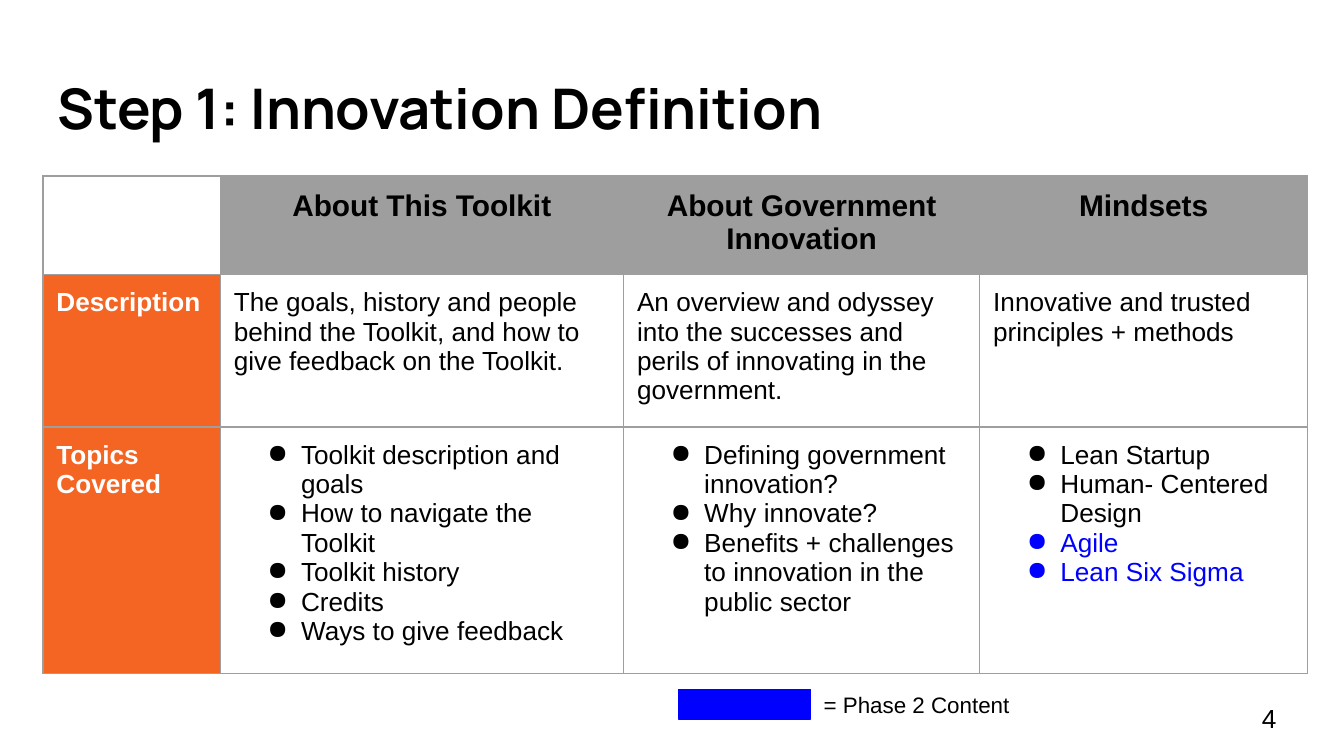
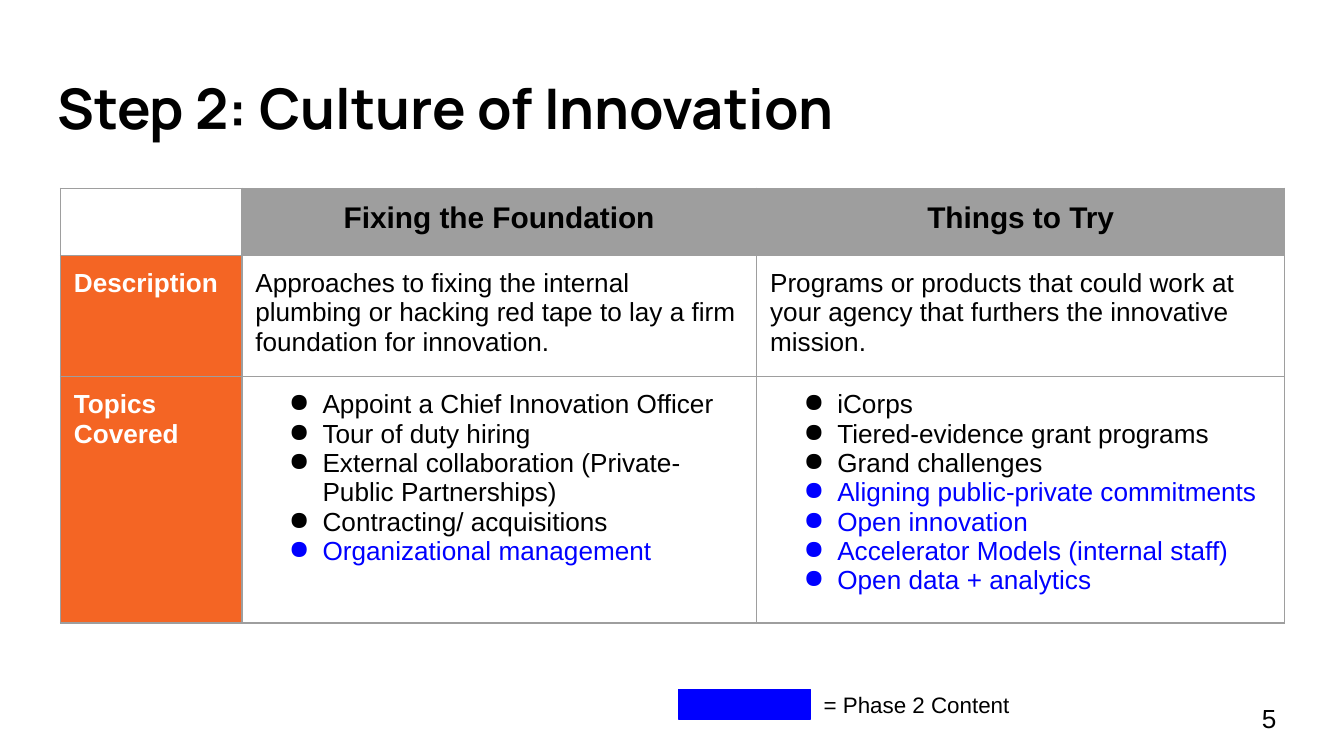
from dataclasses import dataclass

from pptx import Presentation, util as u
from pptx.dml.color import RGBColor
from pptx.enum import shapes, text
from pptx.oxml import parse_xml
from pptx.oxml.ns import nsdecls


@dataclass(frozen=True)
class Theme:
    ink: str = "000000"
    white: str = "FFFFFF"
    header: str = "9E9E9E"
    step: str = "F46524"
    phase_two: str = "0000FF"
    title_font: str = "Manrope"
    body_font: str = "Arial"
    title_size: int = 30
    header_size: int = 16
    body_size: int = 14
    legend_size: int = 12
    line_width: float = 0.75


@dataclass(frozen=True)
class Box:
    """Left, top, width and height in grid units."""
    left: float
    top: float
    width: float
    height: float

    def lengths(self):
        return [grid(value) for value in (self.left, self.top, self.width, self.height)]


THEME = Theme()
SLIDE_COLUMNS, SLIDE_ROWS = 100, 56.25
INSET = 1
BULLET_INDENT, BULLET_HANG = 5, 2.5

TITLE_BOX = Box(3.3, 4.5, 94.5, 7)
LEGEND_BOX = Box(50.5, 50.4, 39.5, 3.1)
NUMBER_BOX = Box(92.9, 51.3, 6, 4.3)

STEPS = [
    {
        "title": "Step 1: Innovation Definition",
        "number": 4,
        "corner": (3.2, 13.1),
        "columns": [13.2, 30, 26.5, 24.4],
        "rows": [6.9, 10.7, 17.3],
        "sections": [
            ("About This Toolkit",
             "The goals, history and people behind the Toolkit, and how to give "
             "feedback on the Toolkit.",
             ["Toolkit description and goals", "How to navigate the Toolkit",
              "Toolkit history", "Credits", "Ways to give feedback"], []),
            ("About Government Innovation",
             "An overview and odyssey into the successes and perils of innovating "
             "in the government.",
             ["Defining government innovation?", "Why innovate?",
              "Benefits + challenges to innovation in the public sector"], []),
            ("Mindsets",
             "Innovative and trusted principles + methods",
             ["Lean Startup", "Human- Centered Design"],
             ["Agile", "Lean Six Sigma"]),
        ],
    },
    {
        "title": "Step 2: Culture of Innovation",
        "number": 5,
        "corner": (4.5, 14),
        "columns": [13.5, 38.3, 39.3],
        "rows": [4.8, 8.6, 17.3],
        "sections": [
            ("Fixing the Foundation",
             "Approaches to fixing the internal plumbing or hacking red tape to lay "
             "a firm foundation for innovation.",
             ["Appoint a Chief Innovation Officer", "Tour of duty hiring",
              "External collaboration (Private-Public Partnerships)",
              "Contracting/ acquisitions"],
             ["Organizational management"]),
            ("Things to Try",
             "Programs or products that could work at your agency that furthers "
             "the innovative mission.",
             ["iCorps", "Tiered-evidence grant programs", "Grand challenges"],
             ["Aligning public-private commitments", "Open innovation",
              "Accelerator Models (internal staff)", "Open data + analytics"]),
        ],
    },
]


def grid(units):
    """One grid unit is a hundredth of the slide's width."""
    return u.Inches(units / 10)


def color(value):
    return RGBColor.from_string(value)


def set_insets(target):
    target.margin_left = target.margin_right = grid(INSET)
    target.margin_top = target.margin_bottom = grid(INSET)


def add_run(paragraph, words, size, ink=THEME.ink, bold=False, font=THEME.body_font):
    run = paragraph.add_run()
    run.text = words
    run.font.name = font
    run.font.size = u.Pt(size)
    run.font.bold = bold
    run.font.color.rgb = color(ink)


def add_text(parent, box, words, size, anchor=text.MSO_ANCHOR.TOP, **style):
    frame = parent.add_textbox(*box.lengths()).text_frame
    frame.word_wrap = True
    frame.vertical_anchor = anchor
    set_insets(frame)
    add_run(frame.paragraphs[0], words, size, **style)


def add_bullet(paragraph, ink):
    properties = paragraph._p.get_or_add_pPr()
    properties.set("marL", str(grid(BULLET_INDENT)))
    properties.set("indent", str(-grid(BULLET_HANG)))
    properties.append(parse_xml(
        f'<a:buClr {nsdecls("a")}><a:srgbClr val="{ink}"/></a:buClr>'))
    properties.append(parse_xml(f'<a:buChar {nsdecls("a")} char="●"/>'))


def style_cell(cell, fill=None):
    set_insets(cell)
    properties = cell._tc.get_or_add_tcPr()
    for side in "LRTB":
        properties.append(parse_xml(
            f'<a:ln{side} {nsdecls("a")} w="{u.Pt(THEME.line_width)}"><a:solidFill>'
            f'<a:srgbClr val="{THEME.header}"/></a:solidFill></a:ln{side}>'))
    if fill:
        cell.fill.solid()
        cell.fill.fore_color.rgb = color(fill)
    else:
        cell.fill.background()


def fill_topics(cell, topics, phase_two_topics):
    inks = [THEME.ink] * len(topics) + [THEME.phase_two] * len(phase_two_topics)
    frame = cell.text_frame
    for index, (topic, ink) in enumerate(zip(topics + phase_two_topics, inks)):
        paragraph = frame.add_paragraph() if index else frame.paragraphs[0]
        add_bullet(paragraph, ink)
        add_run(paragraph, topic, THEME.body_size, ink)


def add_step_table(slide, box, columns, rows, sections):
    table = slide.shapes.add_table(len(rows), len(columns), *box.lengths()).table
    table.first_row = table.horz_banding = False
    for column, width in zip(table.columns, columns):
        column.width = grid(width)
    for row, height in zip(table.rows, rows):
        row.height = grid(height)

    style_cell(table.cell(0, 0))
    for index, label in enumerate(["Description", "Topics Covered"], 1):
        cell = table.cell(index, 0)
        style_cell(cell, THEME.step)
        add_run(cell.text_frame.paragraphs[0], label, THEME.body_size, THEME.white, True)

    for index, (heading, description, topics, phase_two_topics) in enumerate(sections, 1):
        heading_cell, description_cell, topics_cell = (
            table.cell(row, index) for row in range(3))
        style_cell(heading_cell, THEME.header)
        style_cell(description_cell)
        style_cell(topics_cell)
        paragraph = heading_cell.text_frame.paragraphs[0]
        paragraph.alignment = text.PP_ALIGN.CENTER
        add_run(paragraph, heading, THEME.header_size, bold=True)
        add_run(description_cell.text_frame.paragraphs[0], description, THEME.body_size)
        fill_topics(topics_cell, topics, phase_two_topics)


def add_legend(slide, box):
    group = slide.shapes.add_group_shape().shapes
    swatch_width, swatch_height, swatch_drop = 9.8, 2.2, 0.9
    label = Box(box.left + swatch_width, box.top, box.width - swatch_width, swatch_height)
    add_text(group, label, "= Phase 2 Content", THEME.legend_size)
    swatch = Box(box.left, box.top + swatch_drop, swatch_width, swatch_height)
    shape = group.add_shape(shapes.MSO_SHAPE.RECTANGLE, *swatch.lengths())
    shape.shadow.inherit = False
    shape.fill.solid()
    shape.fill.fore_color.rgb = color(THEME.phase_two)
    shape.line.color.rgb = color(THEME.phase_two)
    shape.line.width = u.Pt(THEME.line_width)


def add_step_slide(presentation, step):
    slide = presentation.slides.add_slide(presentation.slide_layouts[6])
    slide.background.fill.solid()
    slide.background.fill.fore_color.rgb = color(THEME.white)
    add_text(slide.shapes, TITLE_BOX, step["title"], THEME.title_size,
             bold=True, font=THEME.title_font)
    table_box = Box(*step["corner"], sum(step["columns"]), sum(step["rows"]))
    add_step_table(slide, table_box, step["columns"], step["rows"], step["sections"])
    add_text(slide.shapes, NUMBER_BOX, str(step["number"]), THEME.body_size,
             anchor=text.MSO_ANCHOR.MIDDLE)
    add_legend(slide, LEGEND_BOX)


def main():
    presentation = Presentation()
    presentation.slide_width = grid(SLIDE_COLUMNS)
    presentation.slide_height = grid(SLIDE_ROWS)
    for step in STEPS:
        add_step_slide(presentation, step)
    presentation.save("out.pptx")


if __name__ == "__main__":
    main()
